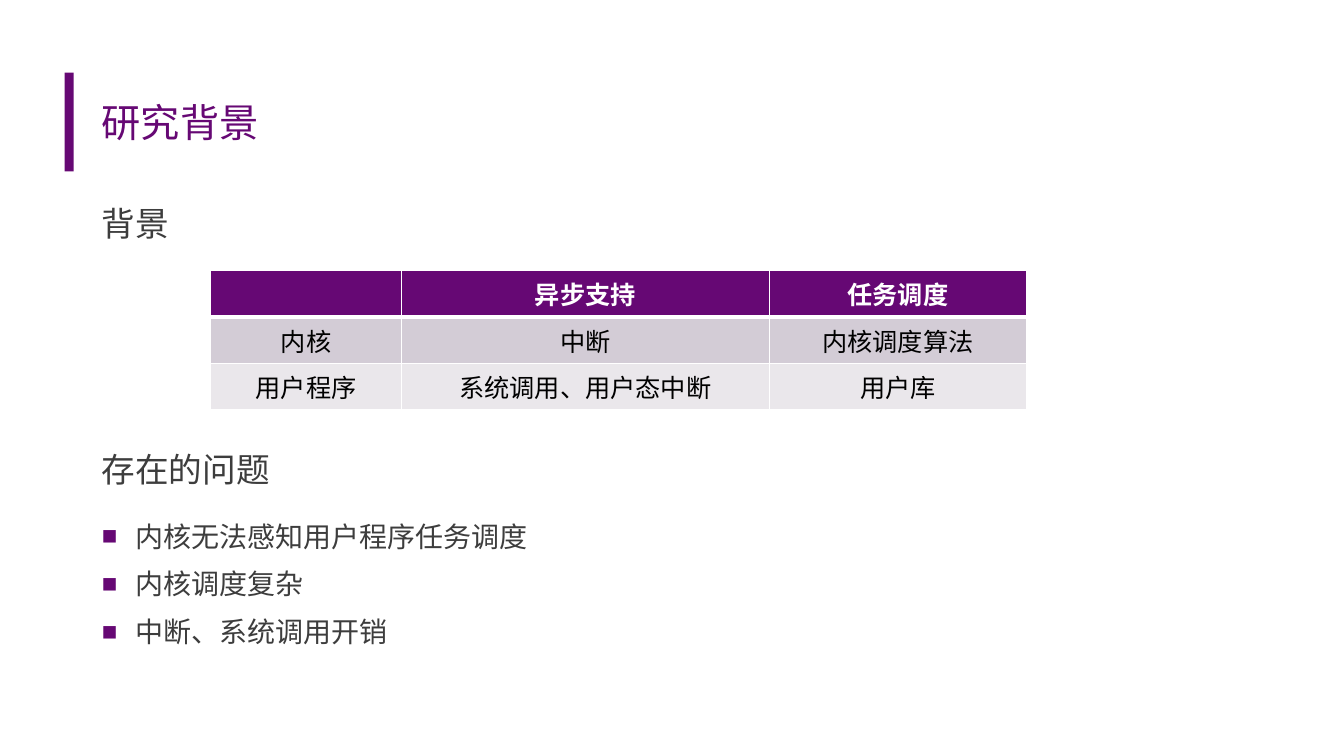
"""Builds the research background slide with a table and a bullet list."""
import pptx
import pptx.dml.color
import pptx.enum.shapes
import pptx.enum.text
import pptx.oxml
import pptx.oxml.ns
import pptx.util

Inches = pptx.util.Inches
Pt = pptx.util.Pt
ALIGN = pptx.enum.text.PP_ALIGN
ANCHOR = pptx.enum.text.MSO_ANCHOR
FONT = "Calibri"
COLORS = {
    "accent": "660874",
    "text": "3D3D3D",
    "black": "000000",
    "white": "FFFFFF",
    "dark": "D3CCD6",
    "light": "EAE7EB",
}
ROWS = [
    ["", "异步支持", "任务调度"],
    ["内核", "中断", "内核调度算法"],
    ["用户程序", "系统调用、用户态中断", "用户库"],
]
WIDTHS = [1.89, 3.65, 2.55]
ISSUES = ["内核无法感知用户程序任务调度", "内核调度复杂", "中断、系统调用开销"]


def color(name):
    return pptx.dml.color.RGBColor.from_string(COLORS[name])


def node(xml):
    return pptx.oxml.parse_xml(xml.replace(" ", f" {pptx.oxml.ns.nsdecls('a')} ", 1))


def place(shape, left, top, width, height):
    shape.left, shape.top = Inches(left), Inches(top)
    shape.width, shape.height = Inches(width), Inches(height)


def style(para, size, tint, align=ALIGN.LEFT, bold=False):
    para.alignment = align
    for run in para.runs:
        run.font.name = FONT
        run.font.size = Pt(size)
        run.font.bold = bold
        run.font.color.rgb = color(tint)


def space(para, size):
    para.space_before = Pt(size * 0.2)
    para.space_after = Pt(6)


def add_bar(slide):
    bar = slide.shapes.add_shape(
        pptx.enum.shapes.MSO_SHAPE.RECTANGLE,
        Inches(0.64), Inches(0.72), Inches(0.09), Inches(0.98))
    bar.shadow.inherit = False
    bar.fill.solid()
    bar.fill.fore_color.rgb = color("accent")
    bar.line.fill.background()


def set_title(slide, text):
    title = slide.shapes.title
    place(title, 0.91, 0.65, 11.51, 1.11)
    frame = title.text_frame
    frame.text = text
    frame.auto_size = pptx.enum.text.MSO_AUTO_SIZE.NONE
    frame.vertical_anchor = ANCHOR.MIDDLE
    style(frame.paragraphs[0], 28, "accent")


def add_head(slide, text, top, width):
    box = slide.shapes.add_textbox(
        Inches(0.91), Inches(top), Inches(width), Inches(0.59))
    frame = box.text_frame
    frame.word_wrap = True
    frame.text = text
    para = frame.paragraphs[0]
    space(para, 24)
    style(para, 24, "text")


def add_bullet(para):
    props = para._p.get_or_add_pPr()
    indent = Inches(0.33)
    props.set("marL", str(indent))
    props.set("indent", str(-indent))
    for xml in (
        f'<a:buClr ><a:srgbClr val="{COLORS["accent"]}"/></a:buClr>',
        '<a:buSzPct val="92000"/>',
        '<a:buFont typeface="Arial"/>',
        '<a:buChar char="■"/>',
    ):
        props.append(node(xml))


def set_list(slide, items):
    body = slide.placeholders[1]
    place(body, 0.91, 5.1, 6.32, 1.8)
    frame = body.text_frame
    frame.text = "\n".join(items)
    frame.auto_size = pptx.enum.text.MSO_AUTO_SIZE.NONE
    for para in frame.paragraphs:
        space(para, 20)
        style(para, 20, "text")
        add_bullet(para)


def set_edges(cell, row):
    props = cell._tc.get_or_add_tcPr()
    heavy = {(0, "B"), (1, "T")}
    for side in "LRTB":
        width = Pt(3 if (row, side) in heavy else 1)
        props.append(node(
            f'<a:ln{side} w="{width}"><a:solidFill>'
            f'<a:srgbClr val="{COLORS["white"]}"/></a:solidFill></a:ln{side}>'))


def add_grid(slide, rows):
    table = slide.shapes.add_table(
        len(rows), len(WIDTHS), Inches(2.09), Inches(2.68),
        Inches(sum(WIDTHS)), Inches(0.41 * len(rows))).table
    for col, width in zip(table.columns, WIDTHS):
        col.width = Inches(width)
    fills = ["accent", "dark", "light"]
    for r, texts in enumerate(rows):
        tint = "black" if r else "white"
        for c, text in enumerate(texts):
            cell = table.cell(r, c)
            cell.text = text
            style(cell.text_frame.paragraphs[0], 18, tint, ALIGN.CENTER, r == 0)
            set_edges(cell, r)
            cell.fill.solid()
            cell.fill.fore_color.rgb = color(fills[r])


def main():
    deck = pptx.Presentation()
    deck.slide_width, deck.slide_height = Inches(13.33), Inches(7.5)
    slide = deck.slides.add_slide(deck.slide_layouts[1])
    add_bar(slide)
    set_title(slide, "研究背景")
    add_grid(slide, ROWS)
    set_list(slide, ISSUES)
    add_head(slide, "背景", 1.96, 3.85)
    add_head(slide, "存在的问题", 4.4, 2.37)
    deck.save("out.pptx")


if __name__ == "__main__":
    main()
